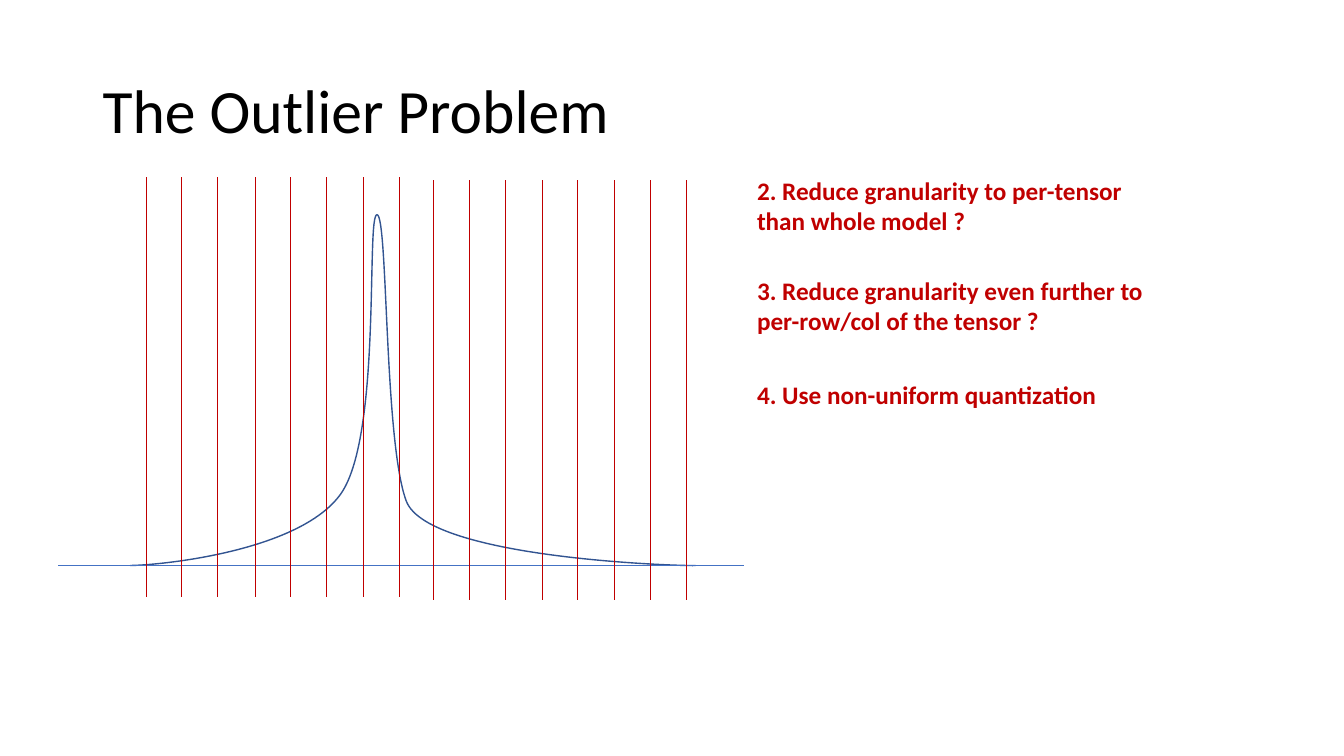
from lxml import etree
from pptx import Presentation
from pptx import util as u
from pptx.dml.color import RGBColor
from pptx.enum import shapes, text
from pptx.oxml.ns import qn

BLACK = RGBColor(0x00, 0x00, 0x00)
RED = RGBColor(0xC0, 0x00, 0x00)
AXIS_BLUE = RGBColor(0x44, 0x72, 0xC4)
CURVE_BLUE = RGBColor(0x32, 0x54, 0x91)

WIDTH, HEIGHT = u.Inches(13.33), u.Inches(7.5)

# All positions are percentages of the slide's width and height
AXIS_Y = 74.8
CURVE_START = (9.68, AXIS_Y)
CURVE_SEGMENTS = [  # two control points, then the end point
    [(11.63, AXIS_Y), (22.28, 73.07), (25.36, 65.33)],
    [(28.43, 57.6), (27.23, 28.27), (28.06, 28.4)],
    [(28.88, 28.53), (28.58, 58.4), (30.23, 66.27)],
    [(31.88, 74.13), (51.69, 74.93), (51.76, AXIS_Y)],
]

# Two groups of quantization levels share the same spacing
LEVEL_GROUPS = [(10.88, 23.47), (32.26, 23.87)]
LEVEL_OFFSETS = [0, 2.63, 5.33, 8.1, 10.73, 13.43, 16.13, 18.8]
LEVEL_HEIGHT = 55.47

IDEAS_X = 55.59
IDEAS = [  # top, width, height, lines
    (22.53, 28.88, 9.47,
     ["2. Reduce granularity to per-tensor", "than whole model ?"]),
    (35.73, 30.46, 9.47,
     ["3. Reduce granularity even further to", "per-row/col of the tensor ?"]),
    (49.47, 26.93, 5.33, ["4. Use non-uniform quantization"]),
]


def x(share):
    return u.Emu(round(WIDTH * share / 100))


def y(share):
    return u.Emu(round(HEIGHT * share / 100))


def add_text(s, lines, left, top, width, height, size=18, color=RED, bold=False,
             wrap=False, anchor=text.MSO_ANCHOR.TOP, spacing=None):
    tf = s.shapes.add_textbox(x(left), y(top), x(width), y(height)).text_frame
    tf.word_wrap = wrap
    tf.vertical_anchor = anchor
    for i, line in enumerate(lines):
        p = tf.paragraphs[0] if i == 0 else tf.add_paragraph()
        p.line_spacing = spacing
        r = p.add_run()
        r.text = line
        r.font.name = "Calibri"
        r.font.size = u.Pt(size)
        r.font.bold = bold
        r.font.color.rgb = color


def add_line(s, x1, y1, x2, y2, color, weight):
    line = s.shapes.add_connector(shapes.MSO_CONNECTOR.STRAIGHT,
                                  x(x1), y(y1), x(x2), y(y2))
    line.line.color.rgb = color
    line.line.width = u.Pt(weight)
    etree.SubElement(line._element.spPr, qn("a:effectLst"))


def add_curve(s, start, segments, color, weight):
    ends = [(x(seg[-1][0]), y(seg[-1][1])) for seg in segments]
    builder = s.shapes.build_freeform(x(start[0]), y(start[1]))
    builder.add_line_segments(ends, close=False)
    sp = builder.convert_to_shape()
    sp.shadow.inherit = False
    sp.fill.background()
    sp.line.color.rgb = color
    sp.line.width = u.Pt(weight)

    # Turn each straight segment into a cubic Bezier
    for step, seg in zip(list(sp._element.iter(qn("a:lnTo"))), segments):
        bezier = etree.Element(qn("a:cubicBezTo"))
        for px, py in seg:
            etree.SubElement(bezier, qn("a:pt"),
                             x=str(x(px) - sp.left), y=str(y(py) - sp.top))
        step.getparent().replace(step, bezier)


def main():
    prs = Presentation()
    prs.slide_width, prs.slide_height = WIDTH, HEIGHT
    s = prs.slides.add_slide(prs.slide_layouts[6])

    # Title
    add_text(s, ["The Outlier Problem"], 6.9, 5.33, 86.27, 19.33, size=44,
             color=BLACK, wrap=True, anchor=text.MSO_ANCHOR.MIDDLE, spacing=0.9)

    # Distribution on its axis
    add_curve(s, CURVE_START, CURVE_SEGMENTS, CURVE_BLUE, 1)
    add_line(s, 4.35, AXIS_Y, 55.36, AXIS_Y, AXIS_BLUE, 1)

    # Quantization levels
    for left, top in LEVEL_GROUPS:
        for offset in LEVEL_OFFSETS:
            add_line(s, left + offset, top, left + offset, top + LEVEL_HEIGHT,
                     RED, 0.5)

    # Ideas for handling outliers
    for top, width, height, lines in IDEAS:
        add_text(s, lines, IDEAS_X, top, width, height, bold=True)

    prs.save("out.pptx")


if __name__ == "__main__":
    main()
